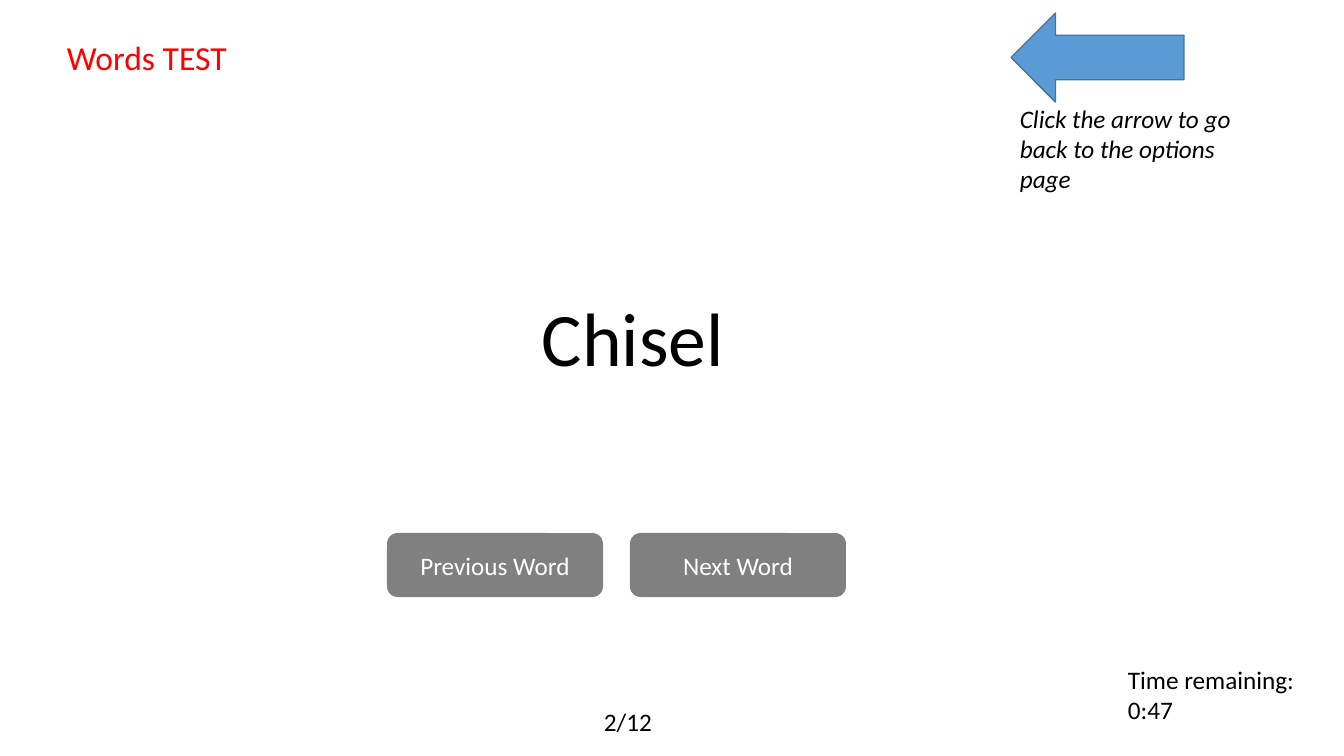
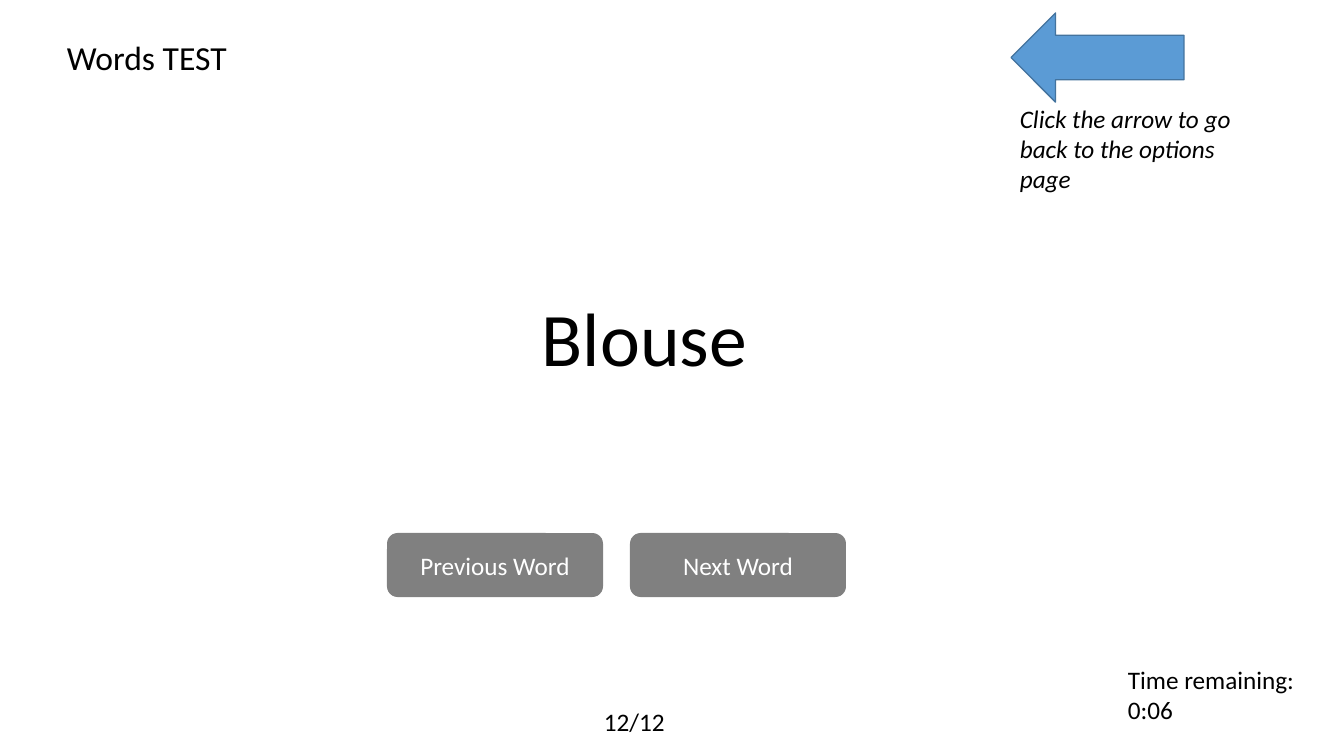
"""Build the word test slides, each with a word, navigation and a timer."""
import pptx
import pptx.dml.color
import pptx.enum.shapes
import pptx.enum.text
import pptx.util

EMU_PER_PX = 914400 / 100.8
FONT = "Calibri"
BLACK, WHITE, RED = "000000", "FFFFFF", "FF0000"
GREY, BLUE, DARK_BLUE = "808080", "5B9BD5", "43739E"
SHAPE = pptx.enum.shapes.MSO_SHAPE

BUTTON_LEFT, BUTTON_TOP, BUTTON_W, BUTTON_H, BUTTON_GAP = 387, 533, 216, 64, 27
BUTTONS = ("Previous Word", "Next Word")
WORDS = (
    ("Chisel", RED, "2/12", 74, "0:47"),
    ("Blouse", BLACK, "12/12", 88, "0:06"),
)


def px(*lengths):
    return [pptx.util.Emu(round(n * EMU_PER_PX)) for n in lengths]


def rgb(color):
    return pptx.dml.color.RGBColor.from_string(color)


def write(tf, lines, size, color, italic=None, align=None):
    tf.word_wrap = True
    tf.text = "\n".join(lines)
    for p in tf.paragraphs:
        p.alignment = align
        p.font.name = FONT
        p.font.size = pptx.util.Pt(size)
        p.font.italic = italic
        p.font.color.rgb = rgb(color)


def add_text(s, box, *lines, size=18, color=BLACK, italic=None):
    tf = s.shapes.add_textbox(*px(*box)).text_frame
    write(tf, lines, size, color, italic)
    tf.auto_size = pptx.enum.text.MSO_AUTO_SIZE.SHAPE_TO_FIT_TEXT


def add_shape(s, kind, box, fill, line=None):
    sp = s.shapes.add_shape(kind, *px(*box))
    sp.shadow.inherit = False
    sp.fill.solid()
    sp.fill.fore_color.rgb = rgb(fill)
    if line:
        sp.line.color.rgb = rgb(line)
        sp.line.width = pptx.util.Pt(1)
    else:
        sp.line.fill.background()
    return sp


def add_button(s, index, label):
    left = BUTTON_LEFT + index * (BUTTON_W + BUTTON_GAP)
    box = (left, BUTTON_TOP, BUTTON_W, BUTTON_H)
    tf = add_shape(s, SHAPE.ROUNDED_RECTANGLE, box, GREY).text_frame
    tf.vertical_anchor = pptx.enum.text.MSO_ANCHOR.MIDDLE
    write(tf, [label], 18, WHITE, align=pptx.enum.text.PP_ALIGN.CENTER)


def add_word_slide(prs, word, title_color, counter, counter_width, time_left):
    s = prs.slides.add_slide(prs.slide_layouts[6])
    add_text(s, (532, 286, 313, 102), word, size=54)
    add_text(s, (57, 32, 312, 50), "Words TEST", size=24, color=title_color)
    add_shape(s, SHAPE.LEFT_ARROW, (1011, 13, 173, 89), BLUE, DARK_BLUE)
    add_text(s, (1010, 98, 235, 102),
             "Click the arrow to go back to the options page", italic=True)
    for index, label in enumerate(BUTTONS):
        add_button(s, index, label)
    add_text(s, (594, 701, counter_width, 40), counter)
    add_text(s, (1118, 659, 226, 72), "Time remaining:", time_left)


def main():
    prs = pptx.Presentation()
    prs.slide_width, prs.slide_height = px(1344, 756)
    for word in WORDS:
        add_word_slide(prs, *word)
    prs.save("out.pptx")


main()
